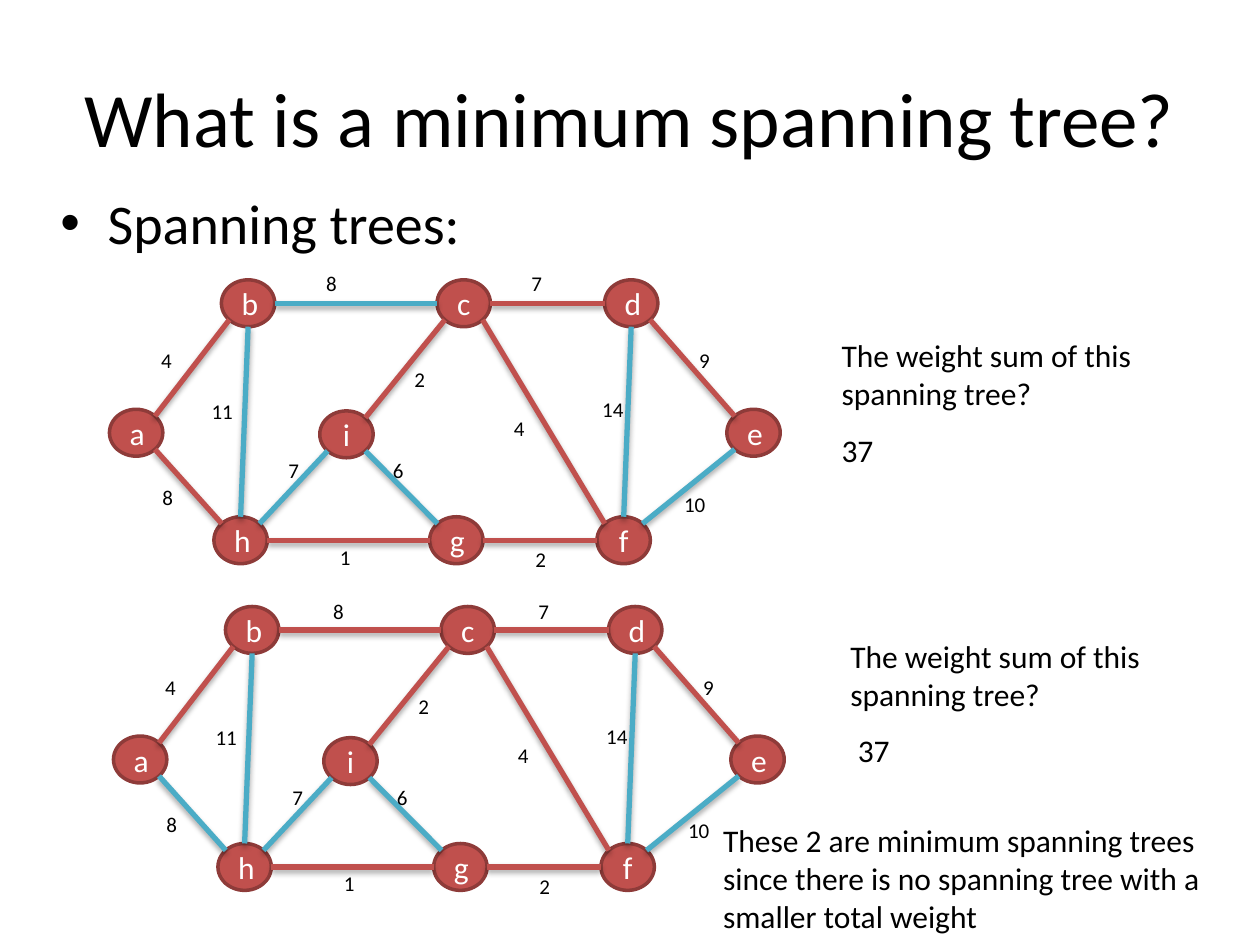
from pptx import Presentation
from pptx.dml.color import RGBColor
from pptx.enum.shapes import MSO_CONNECTOR as Line, MSO_SHAPE as Shape
from pptx.enum.text import MSO_ANCHOR as Anchor, PP_ALIGN as Align
from pptx.oxml import parse_xml
from pptx.oxml.ns import nsdecls
from pptx.util import Pt

RED = RGBColor(0xC0, 0x50, 0x4D)
DARK = RGBColor(0x8E, 0x3B, 0x39)
BLUE = RGBColor(0x4B, 0xAC, 0xC6)
BLACK = RGBColor(0, 0, 0)
WHITE = RGBColor(255, 255, 255)
FONT = "Calibri"
WIDE, HIGH = 30.5, 26.8  # node size

SHADOW = (
    f'<a:effectLst {nsdecls("a")}>'
    '<a:outerShdw blurRad="40000" dist="23000" dir="5400000" rotWithShape="0">'
    '<a:srgbClr val="000000"><a:alpha val="35000"/></a:srgbClr>'
    '</a:outerShdw></a:effectLst>'
)

# Node centres in the upper graph
NODES = {
    "a": (77.8, 247.3), "b": (141.8, 173.3), "h": (137.5, 308.7),
    "i": (198, 248.2), "c": (265, 173.3), "g": (260.8, 308.7),
    "d": (360.7, 173.3), "e": (430.6, 247.3), "f": (356.4, 308.7),
}

# An edge leaves its first node on one side and enters the other opposite
DIAG = 0.707
SIDES = {"E": (1, 0), "W": (-1, 0), "S": (0, 1),
         "SE": (DIAG, DIAG), "SW": (-DIAG, DIAG)}

# Ends, side, weight, label left, top and width
EDGES = [
    ("bc", "E", "8", 179.3, 151.2, 23.8),
    ("ba", "SW", "4", 85, 195.1, 23.8),
    ("cd", "E", "7", 296.6, 151.2, 23.8),
    ("de", "SE", "9", 392.4, 195.1, 23.8),
    ("ef", "SW", "10", 383.8, 277.2, 33.1),
    ("gf", "E", "2", 298.8, 308.9, 23.8),
    ("gh", "W", "1", 187.2, 307.4, 23.8),
    ("ah", "SE", "8", 85.7, 273.6, 23.8),
    ("bh", "S", "11", 113.8, 223.9, 28.8),
    ("ih", "SW", "7", 157.7, 257.8, 23.8),
    ("ig", "SE", "6", 217.4, 257.8, 23.8),
    ("ci", "SW", "2", 229.7, 205.9, 23.8),
    ("cf", "SE", "4", 286.6, 234, 23.8),
    ("df", "S", "14", 337, 223.2, 34.6),
]

# Offset of each graph, the edge outside its tree that sets it apart,
# and a nudge for the labels of the top row
SHARED = {"bh", "ih", "ig", "df", "ef"}
TREES = [(0, 0, "bc", 0), (2.3, 186.7, "ah", 1.7)]

NOTES = [
    ("The weight sum of this spanning tree?", 473.8, 188.6, 180, 51),
    ("37", 473.8, 242.6, 180, 29),
    ("The weight sum of this spanning tree?", 478.8, 360.7, 180, 51),
    ("37", 483.1, 414, 180, 29),
    ("These 2 are minimum spanning trees since there is no spanning tree "
     "with a smaller total weight", 406.1, 465.8, 319.7, 72.7),
]


def style(para, size, color):
    for run in para.runs:
        run.font.name = FONT
        run.font.size = Pt(size)
        run.font.color.rgb = color


def add_text(text, left, top, width, height, size):
    box = slide.shapes.add_textbox(Pt(left), Pt(top), Pt(width), Pt(height))
    frame = box.text_frame
    frame.word_wrap = True
    frame.text = text
    style(frame.paragraphs[0], size, BLACK)
    return frame.paragraphs[0]


deck = Presentation()
deck.slide_width, deck.slide_height = Pt(720), Pt(540)
slide = deck.slides.add_slide(deck.slide_layouts[5])

title = slide.shapes.title
title.left, title.top, title.width, title.height = Pt(36), Pt(21.6), Pt(648), Pt(90)
title.text_frame.text = "What is a minimum spanning tree?"
title.text_frame.vertical_anchor = Anchor.MIDDLE
title.text_frame.paragraphs[0].alignment = Align.CENTER
style(title.text_frame.paragraphs[0], 44, BLACK)

head = add_text("Spanning trees:", 27.4, 104.4, 648, 57.6, 32)
props = head._p.get_or_add_pPr()
props.set("marL", str(Pt(27)))
props.set("indent", str(Pt(-27)))
props.append(parse_xml(f'<a:buFont {nsdecls("a")} typeface="Arial"/>'))
props.append(parse_xml(f'<a:buChar {nsdecls("a")} char="•"/>'))

for dx, dy, extra, nudge in TREES:
    for name, (x, y) in NODES.items():
        node = slide.shapes.add_shape(
            Shape.OVAL, Pt(x + dx - WIDE / 2), Pt(y + dy - HIGH / 2),
            Pt(WIDE), Pt(HIGH))
        node.shadow.inherit = False
        node.fill.solid()
        node.fill.fore_color.rgb = RED
        node.line.color.rgb = DARK
        node.line.width = Pt(2)
        frame = node.text_frame
        frame.text = name
        frame.vertical_anchor = Anchor.MIDDLE
        frame.paragraphs[0].alignment = Align.CENTER
        style(frame.paragraphs[0], 18, WHITE)

    for ends, side, weight, left, top, width in EDGES:
        (x1, y1), (x2, y2) = NODES[ends[0]], NODES[ends[1]]
        sx, sy = SIDES[side]
        ox, oy = sx * WIDE / 2, sy * HIGH / 2
        edge = slide.shapes.add_connector(
            Line.STRAIGHT, Pt(x1 + ox + dx), Pt(y1 + oy + dy),
            Pt(x2 - ox + dx), Pt(y2 - oy + dy))
        edge.line.width = Pt(3)
        edge.line.color.rgb = BLUE if ends in SHARED | {extra} else RED
        edge._element.spPr.append(parse_xml(SHADOW))

    for ends, side, weight, left, top, width in EDGES:
        shift = nudge if ends in ("bc", "cd") else 0
        add_text(weight, left + dx + shift, top + dy + shift / 2, width, 21.8, 12)

for text, left, top, width, height in NOTES:
    add_text(text, left, top, width, height, 18)

deck.save("out.pptx")
